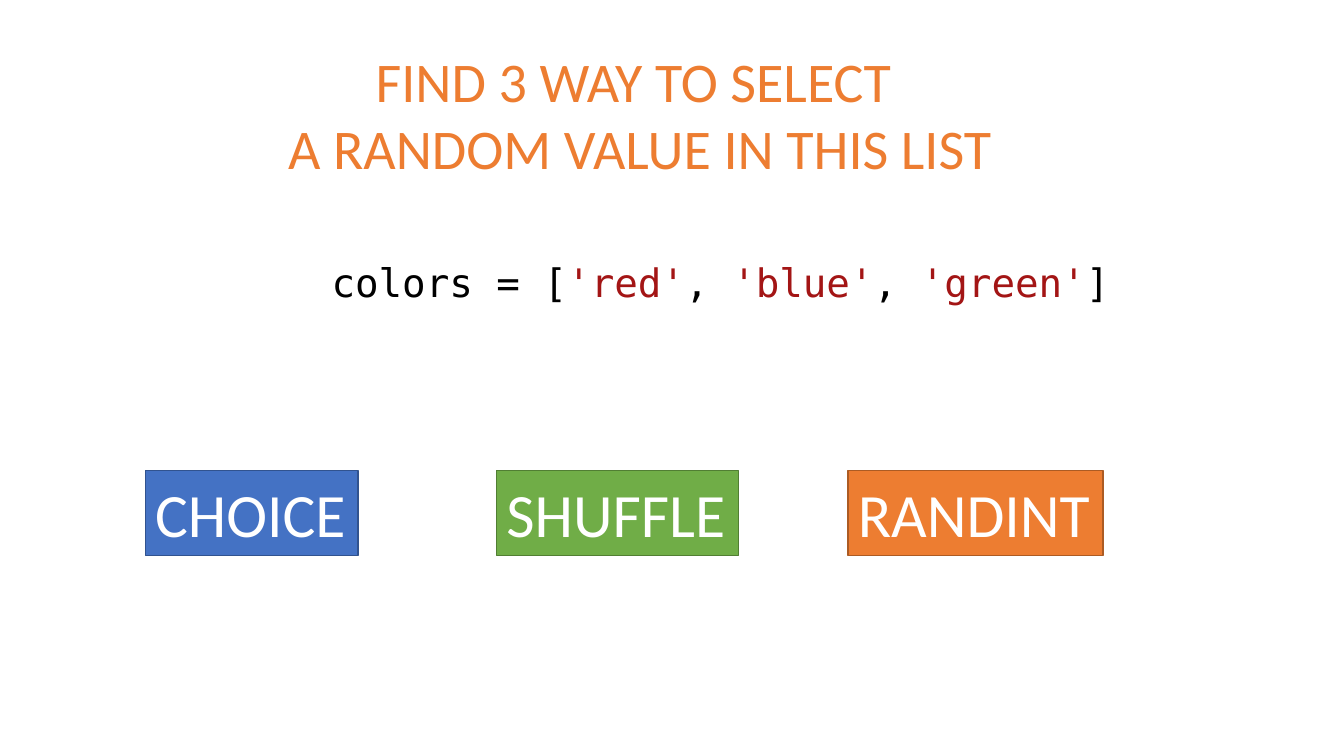
from dataclasses import dataclass

import pptx
import pptx.dml.color
import pptx.enum.shapes
import pptx.enum.text
import pptx.util
from pptx.util import Inches


@dataclass(frozen=True)
class Theme:
    heading_font: str = "Calibri"
    code_font: str = "DejaVu Sans Mono"
    orange: str = "ED7D31"
    blue: str = "4472C4"
    green: str = "70AD47"
    dark_orange: str = "AC5B23"
    dark_blue: str = "31538F"
    dark_green: str = "517E33"
    white: str = "FFFFFF"
    code: str = "000000"
    string: str = "A31515"
    title_size: int = 40
    code_size: int = 28
    method_size: int = 44


THEME = Theme()


def rgb(color):
    return pptx.dml.color.RGBColor.from_string(color)


def add_text(paragraph, text, *, size, font, color, align="LEFT"):
    """Append a formatted run to the paragraph."""
    paragraph.alignment = getattr(pptx.enum.text.PP_ALIGN, align)
    run = paragraph.add_run()
    run.text = text
    run.font.size = pptx.util.Pt(size)
    run.font.name = font
    run.font.color.rgb = rgb(color)


deck = pptx.Presentation()
deck.slide_width = Inches(13.33)
deck.slide_height = Inches(7.5)
slide = deck.slides.add_slide(deck.slide_layouts.get_by_name("Title Only"))

# Question
question = slide.shapes.title
question.left, question.top = Inches(2.72), Inches(0.41)
question.width, question.height = Inches(7.25), Inches(1.45)
question_frame = question.text_frame
question_frame.auto_size = pptx.enum.text.MSO_AUTO_SIZE.SHAPE_TO_FIT_TEXT
question_frame.vertical_anchor = pptx.enum.text.MSO_ANCHOR.TOP
add_text(question_frame.paragraphs[0], "FIND 3 WAY TO SELECT ", align="CENTER",
         size=THEME.title_size, font=THEME.heading_font, color=THEME.orange)
add_text(question_frame.add_paragraph(), "A RANDOM VALUE IN THIS LIST", align="CENTER",
         size=THEME.title_size, font=THEME.heading_font, color=THEME.orange)

# Line of code, with its string literals highlighted
code_line = slide.shapes.add_textbox(Inches(3.19), Inches(2.57), Inches(8.33), Inches(0.93))
code_line.text_frame.word_wrap = True
code_paragraph = code_line.text_frame.paragraphs[0]
code_paragraph.line_spacing = 0.9
for token in ("colors = [", "'red'", ", ", "'blue'", ", ", "'green'", "]"):
    add_text(code_paragraph, token, size=THEME.code_size, font=THEME.code_font,
             color=THEME.string if token.startswith("'") else THEME.code)

# The three answers, with left edges evenly spaced
METHODS = (
    ("CHOICE", 2.11, THEME.blue, THEME.dark_blue),
    ("SHUFFLE", 2.4, THEME.green, THEME.dark_green),
    ("RANDINT", 2.53, THEME.orange, THEME.dark_orange),
)
FIRST_LEFT, METHOD_PITCH = 1.44, 3.485
for index, (name, width, fill, outline) in enumerate(METHODS):
    method = slide.shapes.add_shape(
        pptx.enum.shapes.MSO_SHAPE.RECTANGLE,
        Inches(FIRST_LEFT + index * METHOD_PITCH), Inches(4.67), Inches(width), Inches(0.84))
    method.shadow.inherit = False
    method.fill.solid()
    method.fill.fore_color.rgb = rgb(fill)
    method.line.color.rgb = rgb(outline)
    method.line.width = pptx.util.Pt(1)
    method.text_frame.word_wrap = False
    method.text_frame.auto_size = pptx.enum.text.MSO_AUTO_SIZE.SHAPE_TO_FIT_TEXT
    method.text_frame.vertical_anchor = pptx.enum.text.MSO_ANCHOR.TOP
    add_text(method.text_frame.paragraphs[0], name, size=THEME.method_size,
             font=THEME.heading_font, color=THEME.white)

deck.save("out.pptx")
